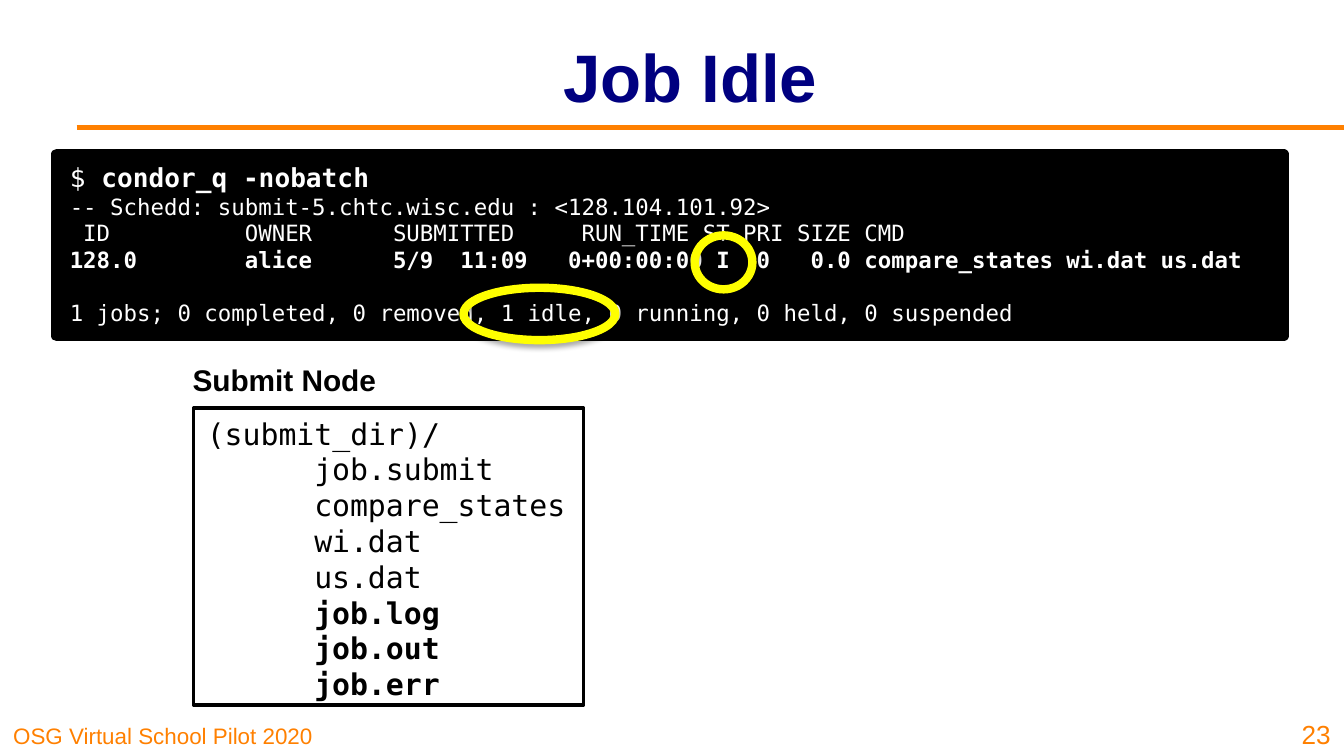
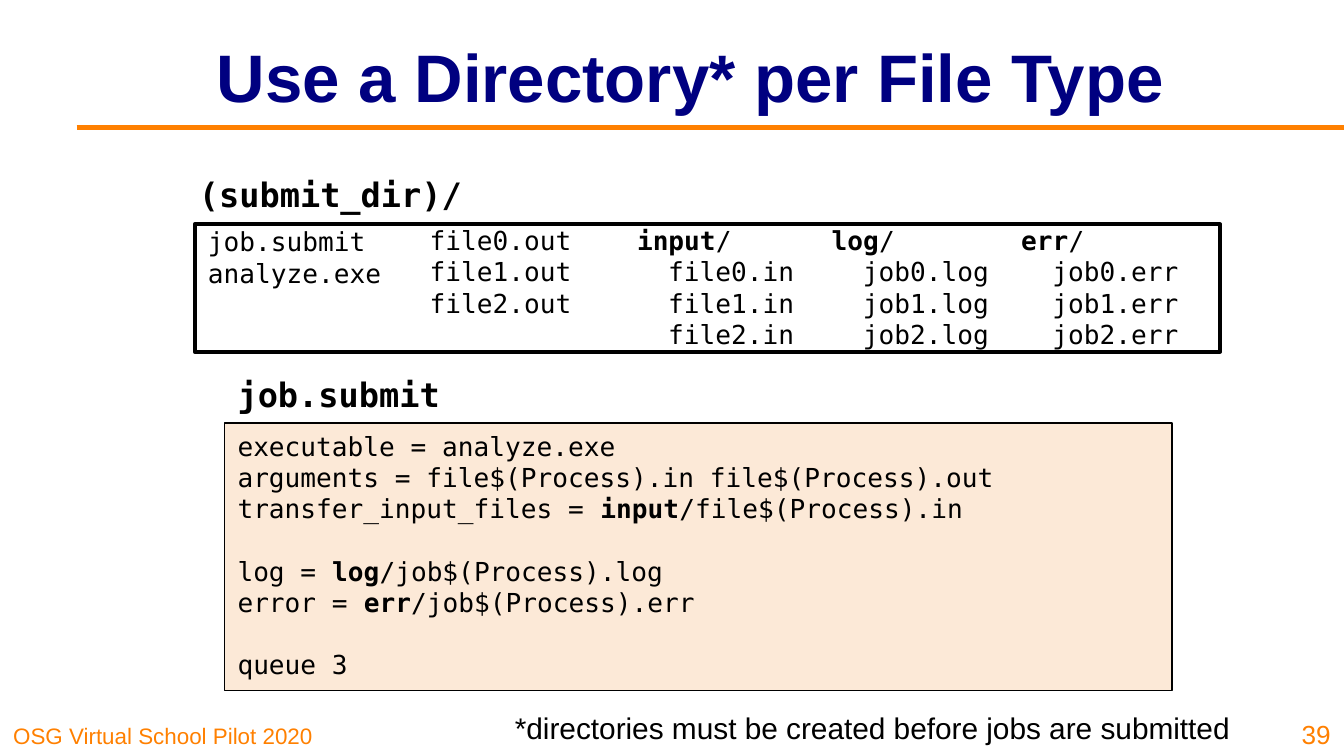
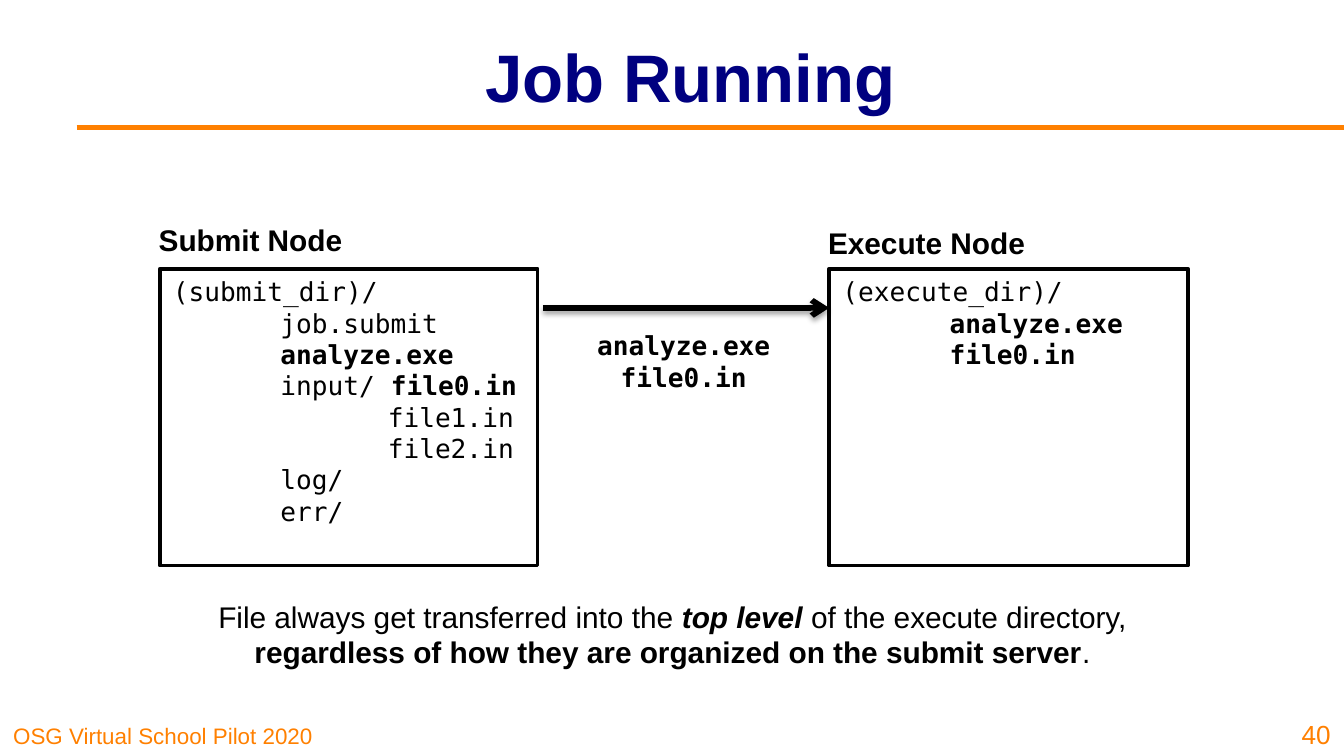
from dataclasses import dataclass

from lxml import etree
from pptx import Presentation
from pptx import util as u
from pptx.dml.color import RGBColor
from pptx.enum import shapes, text
from pptx.oxml import ns

NAVY = RGBColor(0x00, 0x00, 0x80)
ORANGE = RGBColor(0xFF, 0x80, 0x00)
BLACK = RGBColor(0x00, 0x00, 0x00)
WHITE = RGBColor(0xFF, 0xFF, 0xFF)
PEACH = RGBColor(0xFC, 0xE9, 0xD7)
YELLOW = RGBColor(0xFF, 0xFF, 0x00)
SANS = "Arial"
MONO = "DejaVu Sans Mono"
TAB = 2.03
NEST = 0.59
LEFT, MID, RIGHT = text.PP_ALIGN.LEFT, text.PP_ALIGN.CENTER, text.PP_ALIGN.RIGHT
TOP, CENTER, BASE = text.MSO_ANCHOR.TOP, text.MSO_ANCHOR.MIDDLE, text.MSO_ANCHOR.BOTTOM


@dataclass
class Row:
    words: object
    indent: float = 0
    gap: float = 0
    size: float = 0
    bold: bool = False


def cm(box):
    return [u.Cm(v) for v in box]


def shade(shape, alpha, dist):
    effects = shape._element.spPr.find(ns.qn("a:effectLst"))
    shadow = etree.SubElement(effects, ns.qn("a:outerShdw"), blurRad=str(u.Pt(3.1)),
                              dist=str(u.Pt(dist)), dir="5400000", rotWithShape="0")
    color = etree.SubElement(shadow, ns.qn("a:srgbClr"), val=str(BLACK))
    etree.SubElement(color, ns.qn("a:alpha"), val=str(alpha * 1000))


def say(slide, box, rows, size=14, font=MONO, color=BLACK, bold=False, align=LEFT,
        anchor=TOP, fill=None, edge=BLACK, width=2, top=0.13):
    if fill is None:
        shape = slide.shapes.add_textbox(*cm(box))
    else:
        shape = slide.shapes.add_shape(shapes.MSO_SHAPE.RECTANGLE, *cm(box))
        shape.shadow.inherit = False
        shape.fill.solid()
        shape.fill.fore_color.rgb = fill
        shape.line.color.rgb = edge
        shape.line.width = u.Pt(width)
    frame = shape.text_frame
    frame.word_wrap = True
    frame.vertical_anchor = anchor
    frame.margin_top = u.Cm(top)
    for i, row in enumerate([rows] if isinstance(rows, str) else rows):
        row = row if isinstance(row, Row) else Row(row)
        para = frame.add_paragraph() if i else frame.paragraphs[0]
        para.alignment = align
        if row.gap:
            para.space_before = u.Pt(row.gap)
        if row.indent:
            props = para._p.get_or_add_pPr()
            props.set("marL", str(u.Cm(row.indent)))
            props.set("indent", "0")
        pairs = [(row.words, "")] if isinstance(row.words, str) else row.words
        for words, flags in pairs:
            run = para.add_run()
            run.text = words
            run.font.name = font
            run.font.size = u.Pt(row.size or size)
            run.font.color.rgb = color
            run.font.bold = bold or row.bold or "b" in flags
            run.font.italic = "i" in flags


def rule(slide, start, end, color):
    line = slide.shapes.add_connector(shapes.MSO_CONNECTOR.STRAIGHT, *cm(start + end))
    line.line.color.rgb = color
    line.line.width = u.Pt(3)
    etree.SubElement(line._element.spPr, ns.qn("a:effectLst"))
    return line


def page(deck, title, number):
    slide = deck.slides.add_slide(deck.slide_layouts[6])
    say(slide, (0, 13.49, 6.3, 0.79), "OSG Virtual School Pilot 2020", size=12,
        font=SANS, color=ORANGE, anchor=BASE)
    rule(slide, (1.45, 2.41), (25.4, 2.41), ORANGE)
    say(slide, (3.4, 0.23, 19.3, 2.39), title, size=36, font=SANS, color=NAVY,
        bold=True, align=MID, anchor=CENTER)
    say(slide, (24.23, 13.33, 1.17, 0.97), str(number), font=SANS, color=ORANGE,
        align=RIGHT, anchor=BASE)
    return slide


def node(slide, box, name, rows, size=14, lift=1.09):
    x, y = box[:2]
    say(slide, box, rows, size=size, fill=WHITE)
    say(slide, (x - 0.27, y - lift, 4.27, 1.09), name, size=16, font=SANS,
        bold=True, anchor=CENTER)


def ring(slide, box):
    oval = slide.shapes.add_shape(shapes.MSO_SHAPE.OVAL, *cm(box))
    oval.fill.background()
    oval.line.color.rgb = YELLOW
    oval.line.width = u.Pt(4.5)
    oval.shadow.inherit = False
    shade(oval, 35, 1.8)


def shell(slide, box):
    x, y = box[:2]
    say(slide, box, [
        Row([("$ ", ""), ("condor_q -nobatch", "b")], size=14),
        "-- Schedd: submit-5.chtc.wisc.edu : <128.104.101.92>",
        " ID          OWNER      SUBMITTED     RUN_TIME ST PRI SIZE CMD",
        Row("128.0        alice      5/9  11:09   0+00:00:00 I  0   0.0 "
            "compare_states wi.dat us.dat", bold=True),
        Row("1 jobs; 0 completed, 0 removed, 1 idle, 0 running, 0 held, 0 suspended",
            gap=14),
    ], size=12, color=WHITE, fill=BLACK, width=6)
    ring(slide, (x + 12.06, y + 1.53, 1.09, 1.02))
    ring(slide, (x + 7.69, y + 2.52, 2.87, 0.99))


def folder(slide, box):
    x, y = box[:2]
    say(slide, box, ["job.submit", "analyze.exe"], fill=WHITE, top=0.03)
    say(slide, (x + 4.19, y, 3.23, 2.31), [f"file{i}.out" for i in range(3)], top=0)
    for name, stem, end, dx in (("input", "file", "in", 8.11),
                                ("log", "job", "log", 11.79),
                                ("err", "job", "err", 15.37)):
        files = [Row(f"{stem}{i}.{end}", NEST) for i in range(3)]
        say(slide, (x + dx, y, 4.6, 2.31), [Row([(name, "b"), ("/", "")])] + files, top=0)
    say(slide, (x - 0.17, y - 1.09, 6.02, 1.02), "(submit_dir)/", size=18, bold=True)


def code(slide, box):
    x, y = box[:2]
    say(slide, box, [
        "executable = analyze.exe",
        "arguments = file$(Process).in file$(Process).out",
        Row([("transfer_input_files = ", ""), ("input", "b"), ("/file$(Process).in", "")]),
        Row([("log = ", ""), ("log", "b"), ("/job$(Process).log", "")], gap=16.5),
        Row([("error = ", ""), ("err", "b"), ("/job$(Process).err", "")]),
        Row("queue 3", gap=16.5),
    ], fill=PEACH, width=0.75)
    say(slide, (x, y - 1.07, 4.67, 1.02), "job.submit", size=18, bold=True)


def send(slide, box):
    x, y, w, h = box
    say(slide, (x + 0.15, y - 0.36, w - 0.38, h), ["analyze.exe", "file0.in"],
        bold=True, align=MID, anchor=CENTER, fill=WHITE, edge=WHITE)
    arrow = rule(slide, (x, y), (x + w, y), BLACK)
    stroke = arrow._element.spPr.find(ns.qn("a:ln"))
    etree.SubElement(stroke, ns.qn("a:tailEnd"), type="arrow")
    shade(arrow, 38, 1.6)


def idle(deck):
    slide = page(deck, "Job Idle", 23)
    plain = ["job.submit", "compare_states", "wi.dat", "us.dat"]
    made = ["job.log", "job.out", "job.err"]
    node(slide, (3.66, 7.72, 7.37, 5.61), "Submit Node",
         ["(submit_dir)/"] + [Row(f, TAB, bold=f in made) for f in plain + made], size=16)
    shell(slide, (1.07, 2.92, 23.19, 3.43))


def sort(deck):
    slide = page(deck, "Use a Directory* per File Type", 39)
    code(slide, (4.24, 8, 17.91, 5.05))
    folder(slide, (3.68, 4.24, 19.38, 2.41))
    say(slide, (6.15, 13.28, 17.35, 0.94),
        "*directories must be created before jobs are submitted",
        size=16, font=SANS, align=RIGHT)


def active(deck):
    slide = page(deck, "Job Running", 40)
    node(slide, (15.67, 5.08, 6.78, 5.61), "Execute Node", [
        "(execute_dir)/",
        Row("analyze.exe", TAB, bold=True),
        Row("file0.in", TAB, bold=True),
    ], lift=1.04)
    node(slide, (3.02, 5.08, 7.14, 5.61), "Submit Node", [
        "(submit_dir)/",
        Row("job.submit", TAB),
        Row("analyze.exe", TAB, bold=True),
        Row([("input/ ", ""), ("file0.in", "b")], TAB),
        Row("file1.in", 2 * TAB),
        Row("file2.in", 2 * TAB),
        Row("log/", TAB),
        Row("err/", TAB),
    ])
    send(slide, (10.26, 5.82, 5.41, 2.72))
    say(slide, (2.97, 11.18, 19.48, 1.63), [Row([
        ("File always get transferred into the ", ""),
        ("top level ", "bi"),
        ("of the execute directory, ", ""),
        ("regardless of how they are organized on the submit server", "b"),
        (".", ""),
    ])], size=16, font=SANS, align=MID)


def main():
    deck = Presentation()
    deck.slide_width, deck.slide_height = u.Cm(25.4), u.Cm(14.29)
    idle(deck)
    sort(deck)
    active(deck)
    deck.save("out.pptx")


if __name__ == "__main__":
    main()
